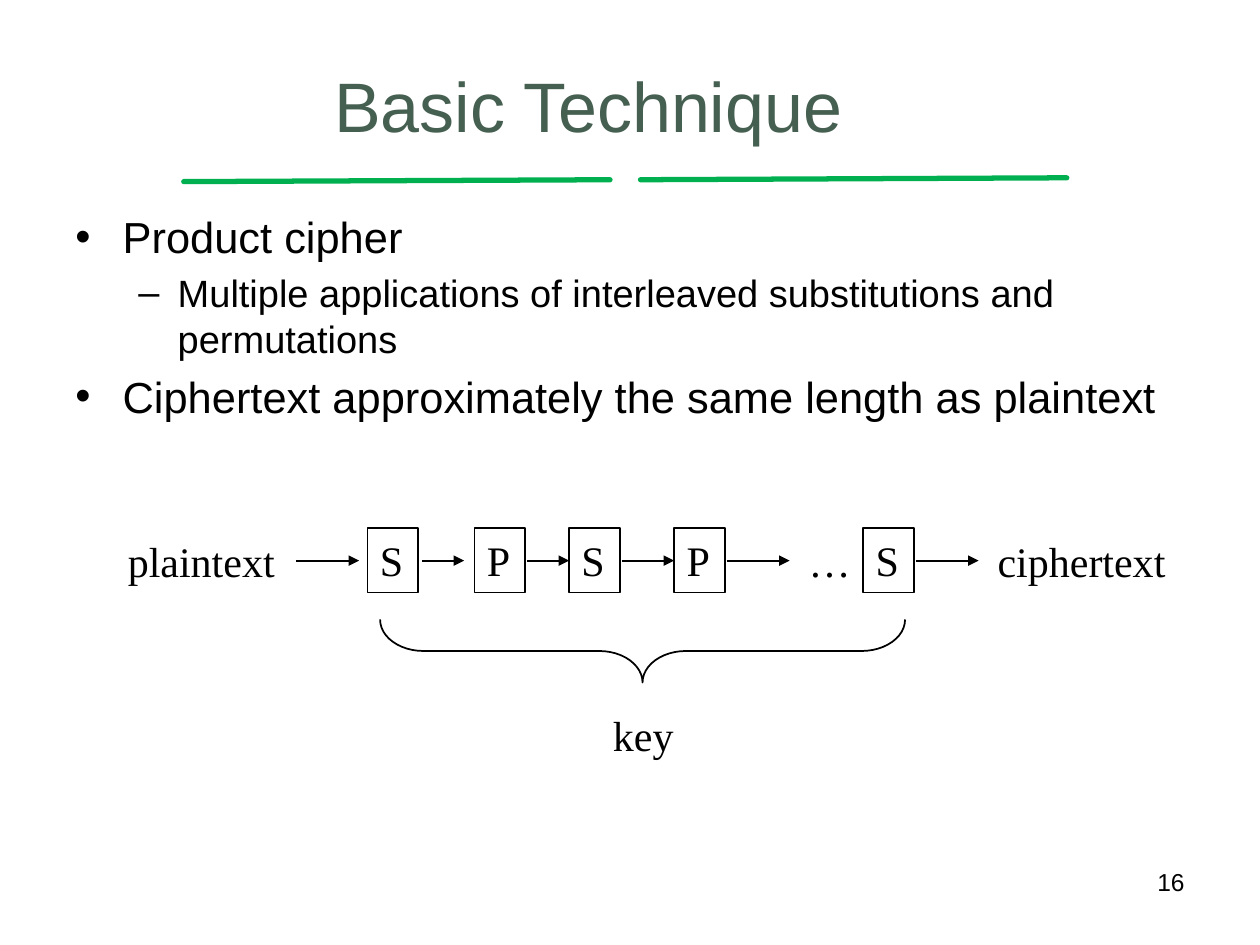
from lxml import etree
from pptx import Presentation
from pptx.dml.color import RGBColor
from pptx.enum.shapes import MSO_CONNECTOR, MSO_SHAPE
from pptx.enum.text import MSO_ANCHOR, MSO_AUTO_SIZE, PP_ALIGN
from pptx.oxml.ns import qn
from pptx.util import Pt

RECTANGLE, LEFT_BRACE = MSO_SHAPE.RECTANGLE, MSO_SHAPE.LEFT_BRACE
STRAIGHT = MSO_CONNECTOR.STRAIGHT
TOP, MIDDLE = MSO_ANCHOR.TOP, MSO_ANCHOR.MIDDLE
LEFT, CENTER, RIGHT = PP_ALIGN.LEFT, PP_ALIGN.CENTER, PP_ALIGN.RIGHT
NO_AUTO_SIZE = MSO_AUTO_SIZE.NONE

BLACK, GREEN, TITLE_GREEN = "000000", "00B050", "455F51"
SANS, SERIF = "Arial", "Times New Roman"


def color(value):
    return RGBColor.from_string(value)


class SlideBuilder:
    def __init__(self, slide):
        self.slide = slide

    def add_run(self, paragraph, text, size, font=SANS, ink=BLACK):
        run = paragraph.add_run()
        run.text = text
        run.font.size = Pt(size)
        run.font.name = font
        run.font.color.rgb = color(ink)

    def text_box(self, left, top, width, height, wrap=True, anchor=TOP):
        box = self.slide.shapes.add_textbox(Pt(left), Pt(top), Pt(width), Pt(height))
        frame = box.text_frame
        frame.word_wrap = wrap
        frame.auto_size = NO_AUTO_SIZE
        frame.vertical_anchor = anchor
        return frame

    def label(self, text, left, top, width):
        frame = self.text_box(left, top, width, 36, wrap=False)
        self.add_run(frame.paragraphs[0], text, 24, SERIF)

    def bullet(self, paragraph, text, mark, size, margin, hanging):
        paragraph.space_before = Pt(round(size * 0.2, 1))
        properties = paragraph._p.get_or_add_pPr()
        properties.set("marL", str(Pt(margin)))
        properties.set("indent", str(-Pt(hanging)))
        bullet_font = etree.SubElement(properties, qn("a:buFont"))
        bullet_font.set("typeface", SANS)
        etree.SubElement(properties, qn("a:buChar")).set("char", mark)
        self.add_run(paragraph, text, size)

    def outline(self, kind, left, top, width, height):
        shape = self.slide.shapes.add_shape(kind, Pt(left), Pt(top), Pt(width), Pt(height))
        shape.shadow.inherit = False
        shape.fill.background()
        shape.line.color.rgb = color(BLACK)
        shape.line.width = Pt(1)
        return shape

    def cipher_box(self, text, left, top, width, height):
        frame = self.outline(RECTANGLE, left, top, width, height).text_frame
        frame.word_wrap = False
        frame.vertical_anchor = TOP
        frame.paragraphs[0].alignment = LEFT
        self.add_run(frame.paragraphs[0], text, 24, SERIF)

    def line(self, start, end, ink=BLACK, width=1, arrow=False):
        connector = self.slide.shapes.add_connector(
            STRAIGHT, Pt(start[0]), Pt(start[1]), Pt(end[0]), Pt(end[1]))
        connector.line.color.rgb = color(ink)
        connector.line.width = Pt(width)
        if arrow:
            line_properties = connector.line._get_or_add_ln()
            etree.SubElement(line_properties, qn("a:tailEnd")).set("type", "triangle")
        else:
            line_properties = connector.line._get_or_add_ln()
            line_properties.set("cap", "rnd")
        etree.SubElement(connector._element.spPr, qn("a:effectLst"))


presentation = Presentation()
presentation.slide_width, presentation.slide_height = Pt(720), Pt(540)
builder = SlideBuilder(presentation.slides.add_slide(presentation.slide_layouts[6]))

# Title and the split rule below it
builder.line((105, 103.8), (348.6, 102.7), GREEN, 3)
builder.line((366, 102.7), (609.6, 101.6), GREEN, 3)
title = builder.text_box(36, 15, 600, 85, anchor=MIDDLE).paragraphs[0]
title.alignment = CENTER
title.line_spacing = 1.1
builder.add_run(title, "Basic Technique", 40, ink=TITLE_GREEN)

# Bullet list: text, mark, size, margin, hanging indent
bullets = [
    ("Product cipher", "•", 24.8, 27, 27),
    ("Multiple applications of interleaved substitutions and permutations",
     "–", 21.7, 58.5, 22.5),
    ("Ciphertext approximately the same length as plaintext", "•", 24.8, 27, 27),
]
body = builder.text_box(36, 116.6, 648, 150)
for index, item in enumerate(bullets):
    paragraph = body.add_paragraph() if index else body.paragraphs[0]
    builder.bullet(paragraph, *item)

# Slide number
number = builder.text_box(516, 492, 168, 37.5).paragraphs[0]
number.alignment = RIGHT
builder.add_run(number, "16", 14)

# Cipher chain: boxes, labels and arrows
for text, left in [("S", 210), ("P", 271.2), ("S", 325.2), ("P", 385.2), ("S", 493.2)]:
    builder.cipher_box(text, left, 301.6, 29, 37)

for text, left, width in [("plaintext", 66, 98.6), ("…", 455, 38.2), ("ciphertext", 563, 110.2)]:
    builder.label(text, left, 302.4, width)

for start, end in [(169.2, 205.2), (241.2, 265.2), (301.2, 325.2),
                   (355.2, 385.2), (415.2, 451.2), (523.2, 559.2)]:
    builder.line((start, 320.4), (end, 320.4), arrow=True)

# Key and its brace
builder.label("key", 343.2, 401.8, 49)
brace = builder.outline(LEFT_BRACE, 349.2, 222, 36, 300)
brace.rotation = 270
brace.adjustments[0] = 0.69

presentation.save("out.pptx")
